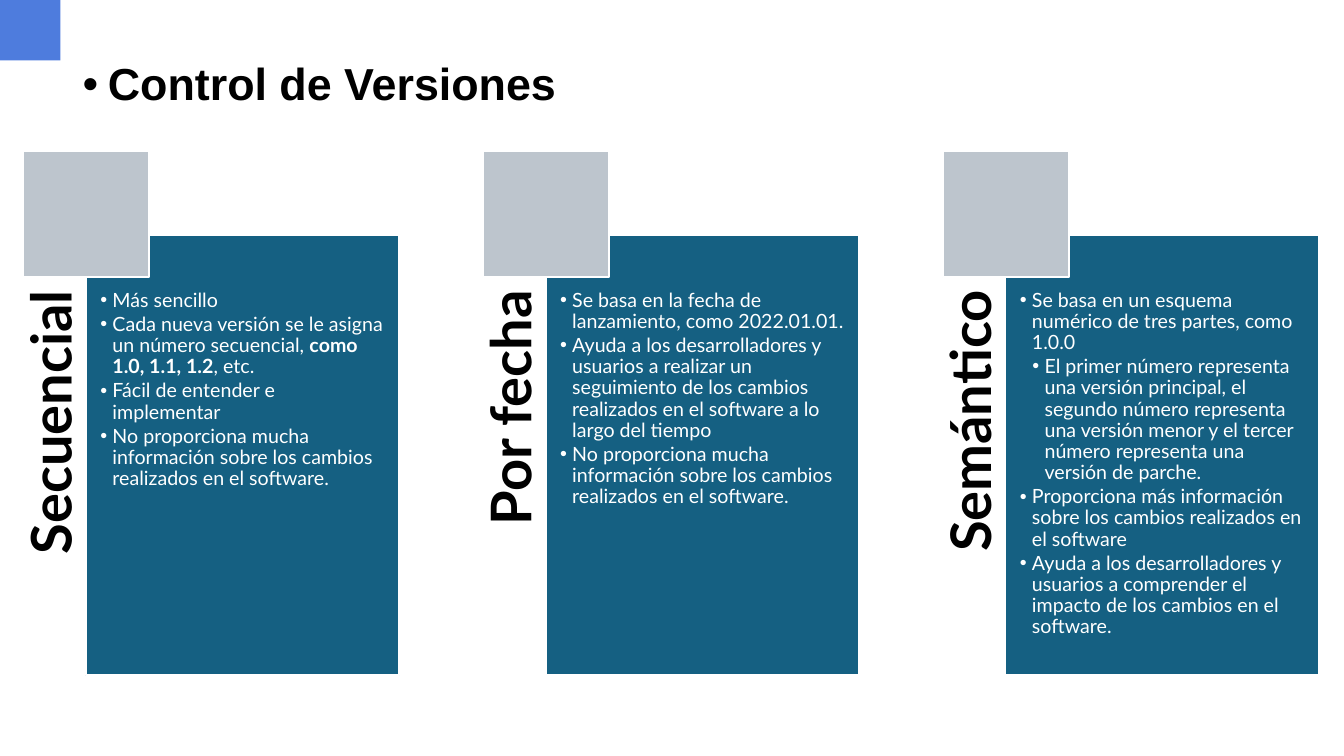
from lxml import etree
from pptx import Presentation
from pptx.dml.color import RGBColor
from pptx.enum.shapes import MSO_SHAPE
from pptx.enum.text import MSO_ANCHOR, PP_ALIGN
from pptx.oxml.ns import qn
from pptx.util import Inches, Pt

RECTANGLE = MSO_SHAPE.RECTANGLE
TOP, MIDDLE = MSO_ANCHOR.TOP, MSO_ANCHOR.MIDDLE
LEFT, RIGHT = PP_ALIGN.LEFT, PP_ALIGN.RIGHT

COLORS = {
    "corner": "4E7CDD",
    "panel": "156082",
    "square": "BDC5CD",
    "white": "FFFFFF",
    "black": "000000",
}

# Each bullet is (level, text); ** marks the start and end of bold text.
COLUMNS = [
    ("Secuencial", [
        (1, "Más sencillo"),
        (1, "Cada nueva versión se le asigna un número secuencial, "
            "**como 1.0, 1.1, 1.2**, etc."),
        (1, "Fácil de entender e implementar"),
        (1, "No proporciona mucha información sobre los cambios realizados en el software."),
    ]),
    ("Por fecha", [
        (1, "Se basa en la fecha de lanzamiento, como 2022.01.01."),
        (1, "Ayuda a los desarrolladores y usuarios a realizar un seguimiento de los "
            "cambios realizados en el software a lo largo del tiempo"),
        (1, "No proporciona mucha información sobre los cambios realizados en el software."),
    ]),
    ("Semántico", [
        (1, "Se basa en un esquema numérico de tres partes, como 1.0.0"),
        (2, "El primer número representa una versión principal, el segundo número "
            "representa una versión menor y el tercer número representa una versión de parche."),
        (1, "Proporciona más información sobre los cambios realizados en el software"),
        (1, "Ayuda a los desarrolladores y usuarios a comprender el impacto de los "
            "cambios en el software."),
    ]),
]
FIRST_LEFT, COLUMN_PITCH = 0.23, 4.56
PANEL_OFFSET, LABEL_OFFSET = 0.62, -1.87

presentation = Presentation()
presentation.slide_width = Inches(13.33)
presentation.slide_height = Inches(7.5)
slide = presentation.slides.add_slide(presentation.slide_layouts[5])


def add_rectangle(left, top, width, height, fill, outlined=True):
    shape = slide.shapes.add_shape(
        RECTANGLE, Inches(left), Inches(top), Inches(width), Inches(height))
    shape.shadow.inherit = False
    shape.fill.solid()
    shape.fill.fore_color.rgb = RGBColor.from_string(COLORS[fill])
    if outlined:
        shape.line.color.rgb = RGBColor.from_string(COLORS["white"])
        shape.line.width = Pt(1.5)
    else:
        shape.line.fill.background()
    return shape


def format_paragraph(paragraph, font, size, color, alignment=LEFT, bullet_indent=None):
    """Set spacing and font; bullet_indent is (text margin, hanging width) in inches."""
    paragraph.alignment = alignment
    paragraph.line_spacing = 0.9
    if bullet_indent:
        margin, hanging = bullet_indent
        properties = paragraph._p.get_or_add_pPr()
        properties.set("marL", str(Inches(margin)))
        properties.set("indent", str(-Inches(hanging)))
        etree.SubElement(properties, qn("a:buFont")).set("typeface", "Arial")
        etree.SubElement(properties, qn("a:buChar")).set("char", "•")
    paragraph.font.name = font
    paragraph.font.size = Pt(size)
    paragraph.font.color.rgb = RGBColor.from_string(COLORS[color])


add_rectangle(0, 0, 0.6, 0.6, "corner", outlined=False)

title = slide.shapes.title
title.left, title.top = Inches(0.72), Inches(0.6)
title.width, title.height = Inches(12.86), Inches(0.51)
title.text_frame.text = "Control de Versiones"
title.text_frame.vertical_anchor = MIDDLE
title_paragraph = title.text_frame.paragraphs[0]
format_paragraph(title_paragraph, "Arial", 32, "black", bullet_indent=(0.25, 0.25))
title_paragraph.font.bold = True

for index, (name, bullets) in enumerate(COLUMNS):
    left = FIRST_LEFT + index * COLUMN_PITCH

    label = slide.shapes.add_textbox(
        Inches(left + LABEL_OFFSET), Inches(4.2), Inches(4.37), Inches(0.63))
    label.rotation = 270
    label_frame = label.text_frame
    label_frame.word_wrap = True
    label_frame.vertical_anchor = TOP
    label_frame.margin_left = label_frame.margin_top = label_frame.margin_bottom = 0
    label_frame.margin_right = Inches(0.55)
    label_frame.text = name
    label_paragraph = label_frame.paragraphs[0]
    format_paragraph(label_paragraph, "Lato", 40, "black", RIGHT)
    label_paragraph.font.bold = True

    panel = add_rectangle(left + PANEL_OFFSET, 2.33, 3.11, 4.37, "panel")
    panel_frame = panel.text_frame
    panel_frame.word_wrap = True
    panel_frame.vertical_anchor = TOP
    panel_frame.margin_left = panel_frame.margin_right = Inches(0.14)
    panel_frame.margin_top, panel_frame.margin_bottom = Inches(0.55), Inches(0.14)
    for number, (level, text) in enumerate(bullets):
        paragraph = panel_frame.paragraphs[0] if number == 0 else panel_frame.add_paragraph()
        paragraph.level = level
        for part, segment in enumerate(text.split("**")):
            run = paragraph.add_run()
            run.text = segment
            if part % 2:
                run.font.bold = True
        format_paragraph(paragraph, "Lato", 14, "white", bullet_indent=(0.125 * level, 0.12))
        paragraph.space_after = Pt(2.1)

    add_rectangle(left, 1.5, 1.25, 1.25, "square")

presentation.save("out.pptx")
